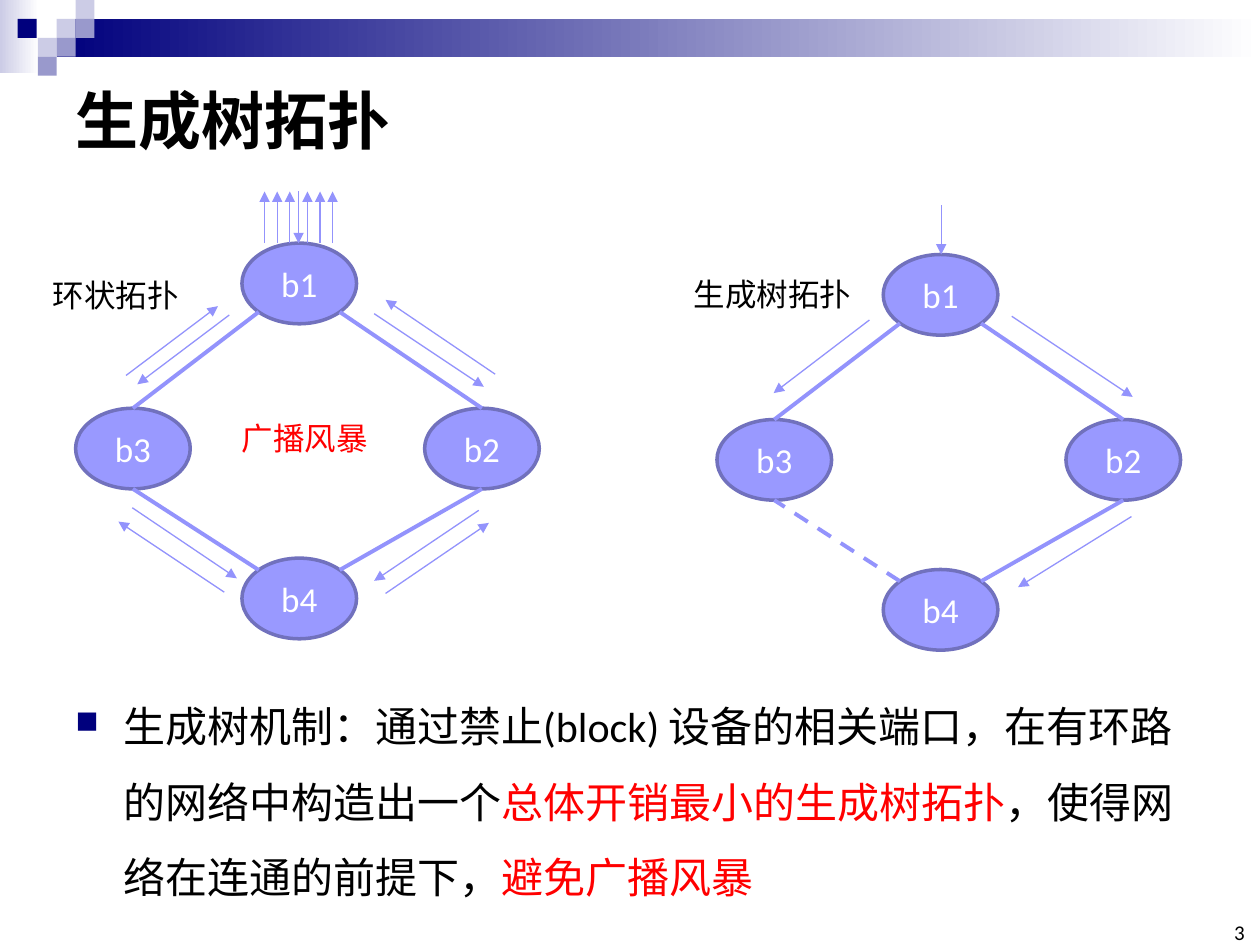
from dataclasses import dataclass
import math

import pptx
import pptx.dml.color
import pptx.enum.dml
import pptx.enum.shapes
import pptx.enum.text
import pptx.oxml
import pptx.oxml.ns
import pptx.util

Inches = pptx.util.Inches
Pt = pptx.util.Pt
SHAPE = pptx.enum.shapes.MSO_SHAPE
ANCHOR = pptx.enum.text.MSO_ANCHOR
ALIGN = pptx.enum.text.PP_ALIGN


@dataclass(frozen=True)
class Theme:
    font: str = "Calibri"
    black: str = "000000"
    white: str = "FFFFFF"
    red: str = "FF0000"
    navy: str = "00007D"
    mid: str = "9999CC"
    pale: str = "CCCCE6"
    node: str = "9999FF"
    node_edge: str = "7171BD"
    link: str = "9393FC"
    title: int = 36
    body: int = 24
    node_text: int = 20
    label: int = 18
    number: int = 12
    edge_width: float = 2
    link_width: float = 2.25
    arrow_width: float = 0.75


def rgb(value):
    return pptx.dml.color.RGBColor.from_string(value)


def add_xml(parent, tag, **attrs):
    child = pptx.oxml.parse_xml(f"<a:{tag} {pptx.oxml.ns.nsdecls('a')}/>")
    for name, value in attrs.items():
        child.set(name, value)
    parent.append(child)


class SlideBuilder:
    def __init__(self, slide, theme):
        self.s = slide
        self.theme = theme
        self.shapes = slide.shapes

    def begin_group(self):
        self.shapes = self.s.shapes.add_group_shape().shapes

    def end_group(self):
        self.shapes = self.s.shapes

    def set_font(self, p, size, color, bold=False):
        p.font.name = self.theme.font
        p.font.size = Pt(size)
        p.font.bold = bold
        p.font.color.rgb = rgb(color)

    def rect(self, x, y, w, h, color, fade_to=None):
        sp = self.shapes.add_shape(SHAPE.RECTANGLE, Inches(x), Inches(y), Inches(w), Inches(h))
        sp.shadow.inherit = False
        sp.line.fill.background()
        if fade_to is None:
            sp.fill.solid()
            sp.fill.fore_color.rgb = rgb(color)
        else:
            sp.fill.gradient()
            sp.fill.gradient_angle = 0
            for stop, value in zip(sp.fill.gradient_stops, (color, fade_to)):
                stop.color.rgb = rgb(value)

    def node(self, x, y, w, h, name):
        t = self.theme
        sp = self.shapes.add_shape(SHAPE.OVAL, Inches(x), Inches(y), Inches(w), Inches(h))
        sp.shadow.inherit = False
        sp.fill.solid()
        sp.fill.fore_color.rgb = rgb(t.node)
        sp.line.color.rgb = rgb(t.node_edge)
        sp.line.width = Pt(t.edge_width)
        tf = sp.text_frame
        tf.vertical_anchor = ANCHOR.MIDDLE
        p = tf.paragraphs[0]
        p.text = name
        p.alignment = ALIGN.CENTER
        self.set_font(p, t.node_text, t.white)

    def line(self, start, end, width, dashed=False):
        c = self.shapes.add_connector(pptx.enum.shapes.MSO_CONNECTOR.STRAIGHT,
                                      *(Inches(v) for v in (*start, *end)))
        c.line.color.rgb = rgb(self.theme.link)
        c.line.width = Pt(width)
        if dashed:
            c.line.dash_style = pptx.enum.dml.MSO_LINE.DASH
        add_xml(c._element.spPr, "effectLst")
        return c

    def arrow(self, start, end):
        c = self.line(start, end, self.theme.arrow_width)
        add_xml(c.line._get_or_add_ln(), "tailEnd", type="triangle")

    def text(self, x, y, w, h, text, size, color, bold=False, wrap=True, anchor=ANCHOR.TOP):
        sp = self.shapes.add_textbox(Inches(x), Inches(y), Inches(w), Inches(h))
        tf = sp.text_frame
        tf.word_wrap = wrap
        tf.vertical_anchor = anchor
        p = tf.paragraphs[0]
        p.text = text
        self.set_font(p, size, color, bold)
        return tf

    def label(self, x, y, w, text, color):
        tf = self.text(x, y, w, 0.4, text, self.theme.label, color, wrap=False)
        tf.auto_size = pptx.enum.text.MSO_AUTO_SIZE.SHAPE_TO_FIT_TEXT

    def bullet(self, x, y, w, h, runs):
        """Draw one bulleted paragraph from (text, color) runs."""
        t = self.theme
        tf = self.text(x, y, w, h, "", t.body, t.black)
        p = tf.paragraphs[0]
        p.line_spacing = 1.5
        pPr = p._p.get_or_add_pPr()
        pPr.set("marL", str(Inches(0.38)))
        pPr.set("indent", str(Inches(-0.38)))
        pPr.remove(pPr.find(pptx.oxml.ns.qn("a:defRPr")))
        add_xml(pPr, "buClr")
        add_xml(pPr[-1], "srgbClr", val=t.navy)
        add_xml(pPr, "buSzPct", val="75000")
        add_xml(pPr, "buChar", char="■")
        self.set_font(p, t.body, t.black)
        for text, color in runs:
            r = p.add_run()
            r.text = text
            r.font.color.rgb = rgb(color)

    def header(self):
        t = self.theme
        self.begin_group()
        self.rect(0, 0, 0.31, 0.58, t.pale, t.white)
        self.rect(0.45, 0.15, 9.55, 0.3, t.navy, t.white)
        for x, y, color in ((0.45, 0.15, t.pale), (0.6, 0, t.pale), (0.6, 0.15, t.mid),
                            (0.3, 0.3, t.pale), (0.14, 0.15, t.navy),
                            (0.45, 0.3, t.mid), (0.3, 0.45, t.mid)):
            self.rect(x, y, 0.15, 0.15, color)
        self.end_group()

    def ring(self, x, y, label, blocked=()):
        """Draw four bridges and their links; links to blocked bridges are dashed."""
        w, h = 0.91, 0.64
        nodes = {"b1": (1.32, 0), "b3": (0, 1.31), "b2": (2.77, 1.31), "b4": (1.32, 2.5)}
        diagonal = math.sqrt(0.5) / 2
        self.begin_group()
        for name, (dx, dy) in nodes.items():
            self.node(x + dx, y + dy, w, h, name)
        for hub, down in (("b1", 1), ("b4", -1)):
            for side, right in (("b3", -1), ("b2", 1)):
                hx, hy = nodes[hub]
                sx, sy = nodes[side]
                start = (x + hx + w * (0.5 + right * diagonal),
                         y + hy + h * (0.5 + down * diagonal))
                end = (x + sx + w / 2, y + sy + (0 if down == 1 else h))
                self.line(start, end, self.theme.link_width, (hub, side) in blocked)
        self.label(*label, self.theme.black)
        self.end_group()


LOOP_ARROWS = (
    ((1, 2.98), (1.73, 2.43)), ((1.82, 2.5), (1.09, 3.05)),
    ((2.97, 2.49), (3.84, 3.07)), ((3.93, 2.97), (3.06, 2.38)),
    ((1.05, 4.03), (1.88, 4.59)), ((1.78, 4.7), (0.94, 4.14)),
    ((3.8, 4.05), (2.97, 4.61)), ((3.06, 4.71), (3.88, 4.15)),
    ((2.37, 1.52), (2.37, 1.93)),
)
TREE_ARROWS = (
    ((7.47, 1.63), (7.47, 2.02)), ((6.9, 2.54), (6.14, 3.12)),
    ((8.03, 2.51), (8.99, 3.15)), ((8.98, 4.1), (8.08, 4.66)),
)
FLOOD_X = (2.1, 2.2, 2.3, 2.44, 2.54, 2.64)


def main():
    prs = pptx.Presentation()
    prs.slide_width, prs.slide_height = Inches(10), Inches(7.5)
    t = Theme()
    b = SlideBuilder(prs.slides.add_slide(prs.slide_layouts[6]), t)
    b.header()
    b.text(0.5, 0.5, 9, 0.89, "生成树拓扑", t.title, t.black, bold=True, anchor=ANCHOR.MIDDLE)
    b.bullet(0.5, 5.31, 9, 1.78, (
        ("生成树机制：通过禁止(block) 设备的相关端口，在有环路的网络中构造出一个", t.black),
        ("总体开销最小的生成树拓扑", t.red),
        ("，使得网络在连通的前提下，", t.black),
        ("避免广播风暴", t.red)))
    b.ring(0.6, 1.93, (0.32, 2.14, 1.21, "环状拓扑"))
    b.label(1.82, 3.28, 1.21, "广播风暴", t.red)
    b.ring(5.69, 2.02, (5.41, 2.13, 1.46, "生成树拓扑"), blocked={("b4", "b3")})
    for start, end in LOOP_ARROWS + TREE_ARROWS:
        b.arrow(start, end)
    for x in FLOOD_X:
        b.arrow((x, 1.93), (x, 1.52))
    tf = b.text(9.65, 7.33, 0.23, 0.17, "3", t.number, t.black, anchor=ANCHOR.BOTTOM)
    tf.margin_left = tf.margin_top = tf.margin_right = tf.margin_bottom = 0
    tf.paragraphs[0].alignment = ALIGN.RIGHT
    prs.save("out.pptx")


if __name__ == "__main__":
    main()
